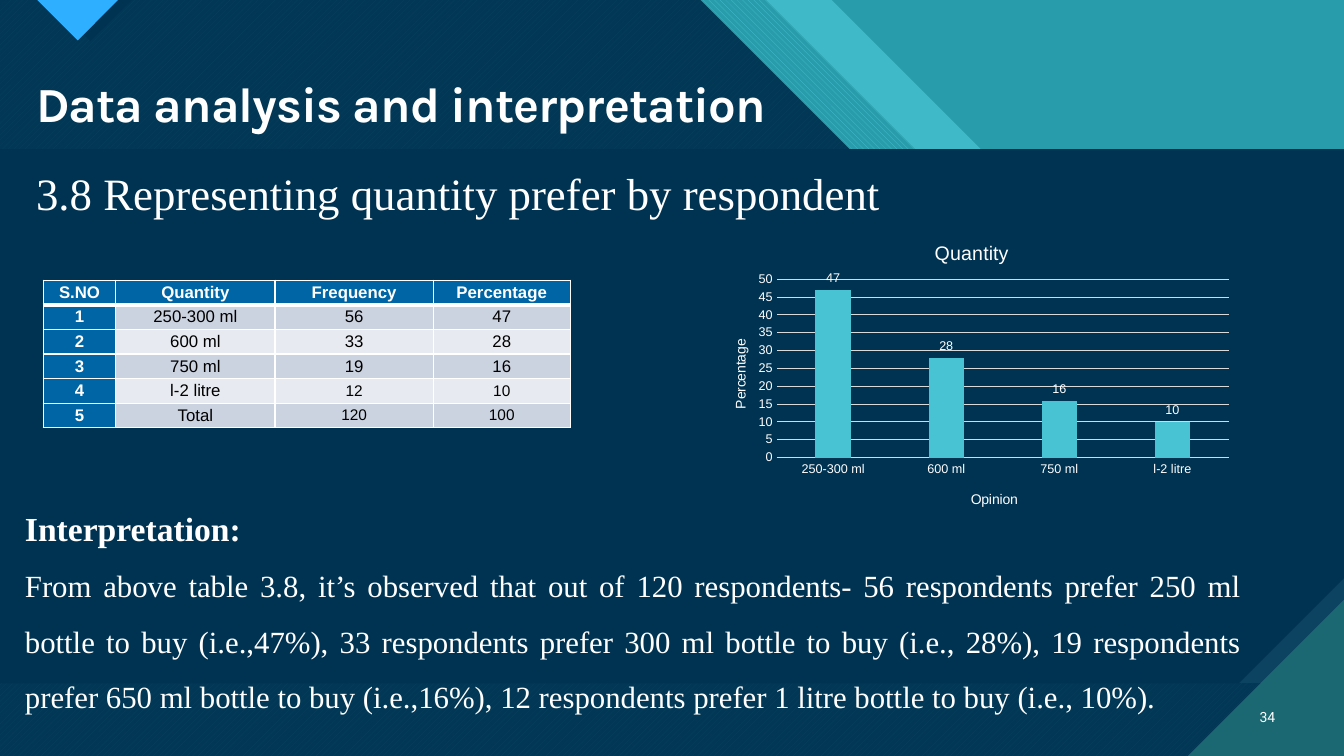
from lxml.etree import SubElement
from pptx import Presentation
from pptx.chart.data import CategoryChartData
from pptx.dml.color import RGBColor
from pptx.enum.chart import XL_CHART_TYPE as ChartType, XL_LABEL_POSITION as LabelPos
from pptx.enum.chart import XL_TICK_MARK as TickMark
from pptx.enum.dml import MSO_PATTERN as Pattern
from pptx.enum.text import MSO_ANCHOR as Anchor, PP_ALIGN as Align
from pptx.oxml import parse_xml
from pptx.oxml.ns import nsdecls, qn
from pptx.util import Cm, Pt

WIDTH, HEIGHT = 33.87, 19.05
BAND_TOP, BAND_BOTTOM, SNIP = 3.76, 17.22, 2.65
NAVY, TEAL, AQUA, DEEP_TEAL = "003352", "299CAB", "47C3D3", "1B6872"
SKY, STEEL, BLUE = "2FAFFF", "0C4360", "0065A4"
WHITE, BLACK, GRID = "FFFFFF", "000000", "D9D9D9"
SERIF = "Times New Roman"


def rgb(value):
    return RGBColor.from_string(value)


def style_font(font, color=WHITE, **values):
    font.color.rgb = rgb(color)
    for name, value in values.items():
        setattr(font, name, value)


def place_in_chart(parent, index, **fractions):
    """Give a chart part a manual layout, in fractions of the chart."""
    for automatic in parent.findall(qn("c:layout")):
        parent.remove(automatic)
    layout = parse_xml(f"<c:layout {nsdecls('c')}/>")
    manual = SubElement(layout, qn("c:manualLayout"))
    if "w" in fractions:
        SubElement(manual, qn("c:layoutTarget")).set("val", "inner")
    for mode in ("xMode", "yMode"):
        SubElement(manual, qn(f"c:{mode}")).set("val", "edge")
    for name, value in fractions.items():
        SubElement(manual, qn(f"c:{name}")).set("val", str(value))
    parent.insert(index, layout)


def diagonal_panel(left):
    """Outline of the slide area left of a 45 degree edge in the header."""
    return [(0, 0), (left, 0), (left + BAND_TOP, BAND_TOP),
            (WIDTH, BAND_TOP), (WIDTH, HEIGHT), (0, HEIGHT)]


def border_cell(cell, bold_sides):
    properties = cell._tc.get_or_add_tcPr()
    for index, side in enumerate("LRTB"):
        width = Pt(3 if side in bold_sides else 1)
        properties.insert(index, parse_xml(
            f'<a:ln{side} {nsdecls("a")} w="{width}"><a:solidFill>'
            f'<a:srgbClr val="{WHITE}"/></a:solidFill></a:ln{side}>'))


class SlideBuilder:
    def __init__(self, slide):
        self.slide = slide
        self.shapes = slide.shapes

    def background(self, color):
        self.slide.background.fill.solid()
        self.slide.background.fill.fore_color.rgb = rgb(color)

    def polygon(self, points, color, back=None, pattern=None, opacity=100):
        start, *rest = [(Cm(x), Cm(y)) for x, y in points]
        outline = self.shapes.build_freeform(*start)
        outline.add_line_segments(rest)
        area = outline.convert_to_shape()
        area.shadow.inherit = False
        area.line.fill.background()
        if pattern:
            area.fill.patterned()
            area.fill.pattern = pattern
            area.fill.back_color.rgb = rgb(back)
        else:
            area.fill.solid()
        area.fill.fore_color.rgb = rgb(color)
        if opacity < 100:
            tint = area._element.spPr.find(qn("a:solidFill"))[0]
            SubElement(tint, qn("a:alpha")).set("val", str(opacity * 1000))

    def text(self, at, paragraphs, align=Align.LEFT, anchor=Anchor.TOP,
             line_spacing=1.0, tracking=0):
        """Write (wording, font values) pairs, one paragraph each."""
        frame = self.shapes.add_textbox(*map(Cm, at)).text_frame
        frame.word_wrap = True
        frame.vertical_anchor = anchor
        for number, (wording, font) in enumerate(paragraphs):
            paragraph = frame.add_paragraph() if number else frame.paragraphs[0]
            paragraph.alignment = align
            paragraph.line_spacing = line_spacing
            run = paragraph.add_run()
            run.text = wording
            style_font(run.font, **font)
            if tracking:
                run._r.get_or_add_rPr().set("spc", str(tracking))

    def table(self, at, widths, row_height, rows):
        size = Cm(sum(widths)), Cm(row_height * len(rows))
        grid = self.shapes.add_table(len(rows), len(widths), *map(Cm, at), *size).table
        for column, width in zip(grid.columns, widths):
            column.width = Cm(width)
        for r, row in enumerate(rows):
            grid.rows[r].height = Cm(row_height)
            for c, wording in enumerate(row):
                self.table_cell(grid.cell(r, c), r, c, wording)

    def table_cell(self, cell, r, c, wording):
        heading = r == 0 or c == 0
        cell.margin_left = cell.margin_right = Cm(0.18)
        cell.margin_top = cell.margin_bottom = 0
        cell.vertical_anchor = Anchor.MIDDLE
        cell.fill.solid()
        cell.fill.fore_color.rgb = rgb(
            BLUE if heading else "CCD3E0" if r % 2 else "E7EAF0")
        border_cell(cell, {0: "B", 1: "T"}.get(r, ""))
        paragraph = cell.text_frame.paragraphs[0]
        paragraph.alignment = Align.CENTER
        run = paragraph.add_run()
        run.text = wording
        style_font(run.font, WHITE if heading else BLACK, name="Arial",
                   bold=heading, size=Pt(11 if r >= 4 and c >= 2 else 12))

    def column_chart(self, at, title, axis_titles, shares):
        data = CategoryChartData()
        data.categories = list(shares)
        data.add_series("Series 1", list(shares.values()))
        chart = self.shapes.add_chart(
            ChartType.COLUMN_CLUSTERED, *map(Cm, at), data).chart
        chart.has_legend = False
        style_font(chart.font, name="Arial", size=Pt(10))

        plot = chart.plots[0]
        for name, value in dict(gap_width=219, overlap=-27, vary_by_categories=False,
                                has_data_labels=True).items():
            setattr(plot, name, value)
        plot.series[0].format.fill.solid()
        plot.series[0].format.fill.fore_color.rgb = rgb(AQUA)
        labels = plot.data_labels
        labels.show_value = True
        labels.position = LabelPos.OUTSIDE_END
        style_font(labels.font, name="Arial", size=Pt(9))

        category, value_axis = chart.category_axis, chart.value_axis
        for axis in (category, value_axis):
            axis.major_tick_mark = axis.minor_tick_mark = TickMark.NONE
            style_font(axis.tick_labels.font, name="Arial", size=Pt(9))
        for name, value in dict(minimum_scale=0, maximum_scale=50, major_unit=5,
                                has_major_gridlines=True).items():
            setattr(value_axis, name, value)
        value_axis.format.line.fill.background()
        for line in (category.format.line, value_axis.major_gridlines.format.line):
            line.color.rgb = rgb(GRID)
            line.width = Pt(0.75)

        titles = [(chart.chart_title, title, 14, 0.42, 0.05),
                  (category.axis_title, axis_titles[0], 10, 0.49, 0.88),
                  (value_axis.axis_title, axis_titles[1], 10, 0.04, 0.38)]
        for part, wording, size, x, y in titles:
            part.text_frame.text = wording
            style_font(part.text_frame.paragraphs[0].runs[0].font,
                       name="Arial", size=Pt(size), bold=False)
            place_in_chart(part._element, 1, x=x, y=y)
        plot_area = chart._chartSpace.find(".//" + qn("c:plotArea"))
        place_in_chart(plot_area, 0, x=0.13, y=0.19, w=0.85, h=0.59)


def draw_backdrop(page):
    page.background(TEAL)
    page.polygon(diagonal_panel(20.96), AQUA, opacity=74)
    page.polygon(diagonal_panel(19.3), AQUA, TEAL, Pattern.WIDE_DOWNWARD_DIAGONAL)
    page.polygon(diagonal_panel(17.65), AQUA, DEEP_TEAL, Pattern.WIDE_UPWARD_DIAGONAL)
    page.polygon(diagonal_panel(17.65), NAVY, opacity=90)
    page.polygon([(1.22, 0), (3.33, 0), (2.28, 1.04)], NAVY)
    page.polygon([(0.94, 0), (2.97, 0), (1.96, 1.02)], SKY, DEEP_TEAL,
                 Pattern.DARK_HORIZONTAL)
    page.polygon([(0, BAND_TOP), (WIDTH, BAND_TOP), (WIDTH, BAND_BOTTOM),
                  (0, BAND_BOTTOM)], STEEL, DEEP_TEAL, Pattern.DARK_VERTICAL)
    page.polygon([(0, BAND_TOP), (WIDTH, BAND_TOP), (WIDTH, BAND_BOTTOM - SNIP),
                  (WIDTH - SNIP, BAND_BOTTOM), (0, BAND_BOTTOM)], NAVY)
    page.polygon([(29.95, HEIGHT), (WIDTH, HEIGHT), (WIDTH, 15.13)], DEEP_TEAL, AQUA,
                 Pattern.DARK_HORIZONTAL)


def main():
    deck = Presentation()
    deck.slide_width, deck.slide_height = Cm(WIDTH), Cm(HEIGHT)
    page = SlideBuilder(deck.slides.add_slide(deck.slide_layouts[6]))
    draw_backdrop(page)

    page.text((0.66, 1.9, 19.2, 1.6),
              [("Data analysis and interpretation",
                dict(name="Karla", size=Pt(35), bold=True))],
              line_spacing=0.9, tracking=-70)
    page.text((31.27, 17.55, 1.12, 1.02), [("34", dict(name="Roboto", size=Pt(10)))],
              align=Align.RIGHT, anchor=Anchor.MIDDLE)
    page.text((0.66, 4.06, 30.58, 1.63),
              [("3.8 Representing quantity prefer by respondent",
                dict(name=SERIF, size=Pt(32)))], align=Align.JUSTIFY)
    page.text((0.38, 12.17, 31.14, 5.87), [
        ("Interpretation:", dict(name=SERIF, size=Pt(24), bold=True)),
        ("From above table 3.8, it’s observed that out of 120 respondents- 56 "
         "respondents prefer 250 ml bottle to buy (i.e.,47%), 33 respondents prefer "
         "300 ml bottle to buy (i.e., 28%), 19 respondents prefer 650 ml bottle to buy "
         "(i.e.,16%), 12 respondents prefer 1 litre bottle to buy (i.e., 10%).",
         dict(name=SERIF, size=Pt(22))),
    ], align=Align.JUSTIFY, line_spacing=1.5)

    page.table((1.09, 7.06), [1.83, 4.01, 3.99, 3.45], 0.62, [
        ("S.NO", "Quantity", "Frequency", "Percentage"),
        ("1", "250-300 ml", "56", "47"),
        ("2", "600 ml", "33", "28"),
        ("3", "750 ml", "19", "16"),
        ("4", "l-2 litre", "12", "10"),
        ("5", "Total", "120", "100"),
    ])
    page.column_chart((17.83, 5.59, 13.41, 7.62), "Quantity", ("Opinion", "Percentage"),
                      {"250-300 ml": 47, "600 ml": 28, "750 ml": 16, "l-2 litre": 10})
    deck.save("out.pptx")


if __name__ == "__main__":
    main()
